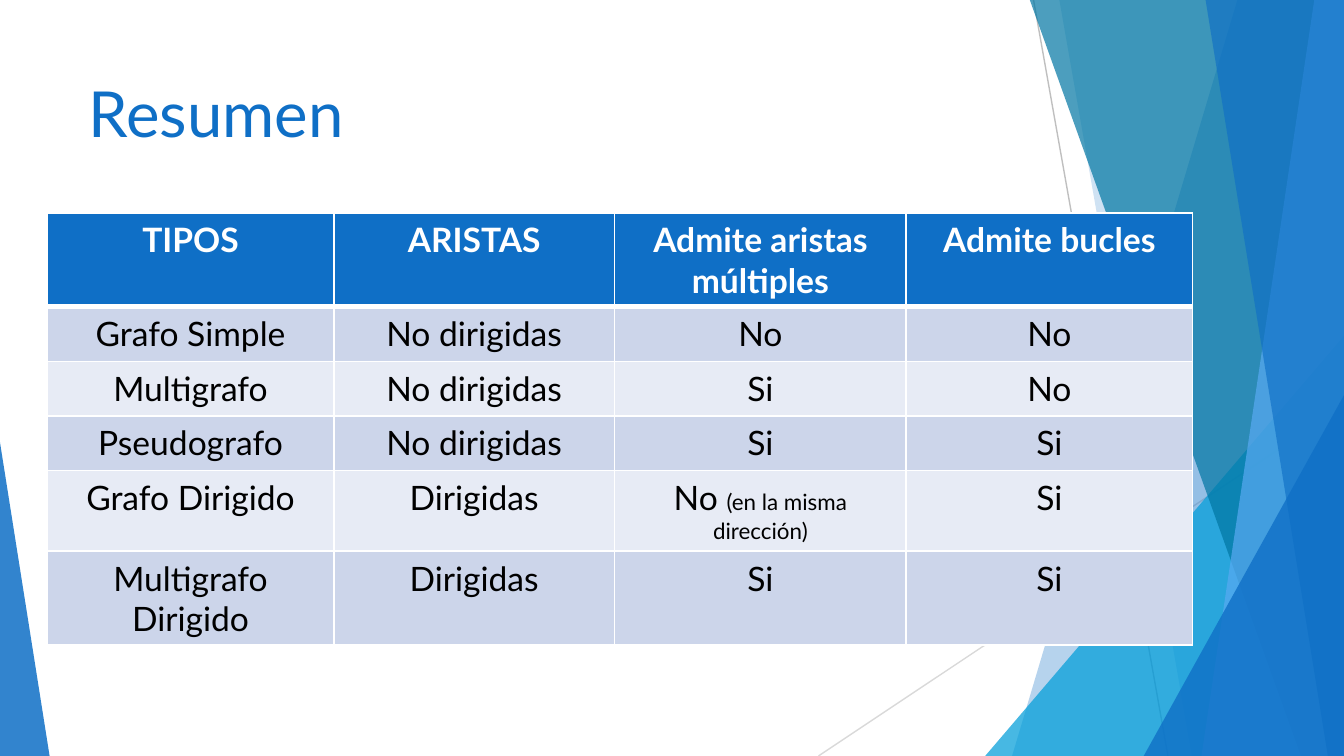
"""Build the summary slide on graph types."""
from lxml import etree
from pptx import Presentation
from pptx.dml.color import RGBColor
from pptx.enum import shapes, text
from pptx.oxml.ns import qn
from pptx.util import Pt

WIDE, HIGH = 720, 405
HEX = {"blue": "0F6FC6", "cyan": "009DD9", "teal": "0076A3", "sky": "59AAF2",
       "gray": "BFBFBF", "pale": "D9D9D9", "odd": "CCD5EA", "even": "E7EBF5",
       "white": "FFFFFF", "black": "000000"}
TITLE = "Resumen"
ROWS = [
    ["TIPOS", "ARISTAS", "Admite aristas múltiples", "Admite bucles"],
    ["Grafo Simple", "No dirigidas", "No", "No"],
    ["Multigrafo", "No dirigidas", "Si", "No"],
    ["Pseudografo", "No dirigidas", "Si", "Si"],
    ["Grafo Dirigido", "Dirigidas", ("No ", "(en la misma dirección)"), "Si"],
    ["Multigrafo Dirigido", "Dirigidas", "Si", "Si"],
]
COLS = [153.4, 150.5, 156.2, 153.4]
TALL = [38.9] + [29.2] * 5
LINES = [(553.7, 0, 625.7, HIGH, "gray"), (WIDE, 217.4, 438.5, HIGH, "pale")]
DECOR = [
    ("band", (663.1, 542.2), "blue", 30),
    ("band", (567.4, 638.6), "blue", 20),
    ("tri", (527.8, 180, 192.2, 1), "cyan", 72),
    ("band", (551.5, 697), "teal", 70),
    ("band", (704.2, 643.7), "sky", 70),
    ("band", (645.8, 711.4), "blue", 65),
    ("tri", (612.7, 211.7, 107.3, 1), "blue", 80),
    ("tri", (0, 236.9, 26.6, 0), "blue", 85),
]


def tint(name):
    return RGBColor.from_string(HEX[name])


def style(run, hue, **form):
    for key, value in {"name": "Lato", **form}.items():
        setattr(run.font, key, value)
    run.font.color.rgb = tint(hue)


def paint(shape, hue, alpha):
    shape.shadow.inherit = False
    shape.fill.solid()
    shape.fill.fore_color.rgb = tint(hue)
    shape.line.fill.background()
    node = shape.fill._xPr.find(".//" + qn("a:srgbClr"))
    etree.SubElement(node, qn("a:alpha"), val=str(alpha * 1000))


def band(tree, top, foot):
    path = tree.build_freeform(Pt(top), Pt(-0.6), scale=1.0)
    path.add_line_segments([(Pt(x), Pt(y)) for x, y in
                            [(WIDE, -0.6), (WIDE, HIGH), (foot, HIGH)]])
    return path.convert_to_shape()


def tri(tree, left, top, width, tip):
    shape = tree.add_shape(shapes.MSO_SHAPE.ISOSCELES_TRIANGLE,
                           Pt(left), Pt(top), Pt(width), Pt(HIGH - top))
    shape.adjustments[0] = tip
    return shape


def edge(cell, foot):
    props = cell._tc.get_or_add_tcPr()
    sides = {"L": 1, "R": 1, "T": 1, "B": foot}
    for spot, (side, size) in enumerate(sides.items()):
        line = etree.Element(qn("a:ln" + side), w=str(Pt(size)))
        fill = etree.SubElement(line, qn("a:solidFill"))
        etree.SubElement(fill, qn("a:srgbClr"), val=HEX["white"])
        props.insert(spot, line)


deck = Presentation()
deck.slide_width, deck.slide_height = Pt(WIDE), Pt(HIGH)
slide = deck.slides.add_slide(deck.slide_layouts[5])
tree = slide.shapes

for *ends, hue in LINES:
    line = tree.add_connector(shapes.MSO_CONNECTOR.STRAIGHT, *map(Pt, ends))
    line.line.color.rgb = tint(hue)
    line.line.width = Pt(0.75)
    etree.SubElement(line._element.spPr, qn("a:effectLst"))

MAKE = {"band": band, "tri": tri}
for kind, spots, hue, alpha in DECOR:
    paint(MAKE[kind](tree, *spots), hue, alpha)

title = tree.title
title.left, title.top, title.width, title.height = map(Pt, (40.3, 36, 507.6, 77.8))
frame = title.text_frame
frame.text = TITLE
frame.word_wrap = True
frame.vertical_anchor = text.MSO_ANCHOR.TOP
frame.paragraphs[0].alignment = text.PP_ALIGN.LEFT
style(frame.paragraphs[0].runs[0], "blue", size=Pt(34))

table = tree.add_table(len(ROWS), len(COLS), Pt(25.4), Pt(114),
                       Pt(sum(COLS)), Pt(sum(TALL))).table
for col, width in zip(table.columns, COLS):
    col.width = Pt(width)
for r, (row, height) in enumerate(zip(ROWS, TALL)):
    table.rows[r].height = Pt(height)
    head = r == 0
    for c, words in enumerate(row):
        cell = table.cell(r, c)
        cell.fill.solid()
        cell.fill.fore_color.rgb = tint("blue" if head else "odd" if r % 2 else "even")
        edge(cell, 3 if head else 1)
        para = cell.text_frame.paragraphs[0]
        para.alignment = text.PP_ALIGN.CENTER
        parts = words if isinstance(words, tuple) else (words,)
        for part, size in zip(parts, (18, 12)):
            run = para.add_run()
            run.text = part
            style(run, "white" if head else "black", size=Pt(size), bold=head)

deck.save("out.pptx")
